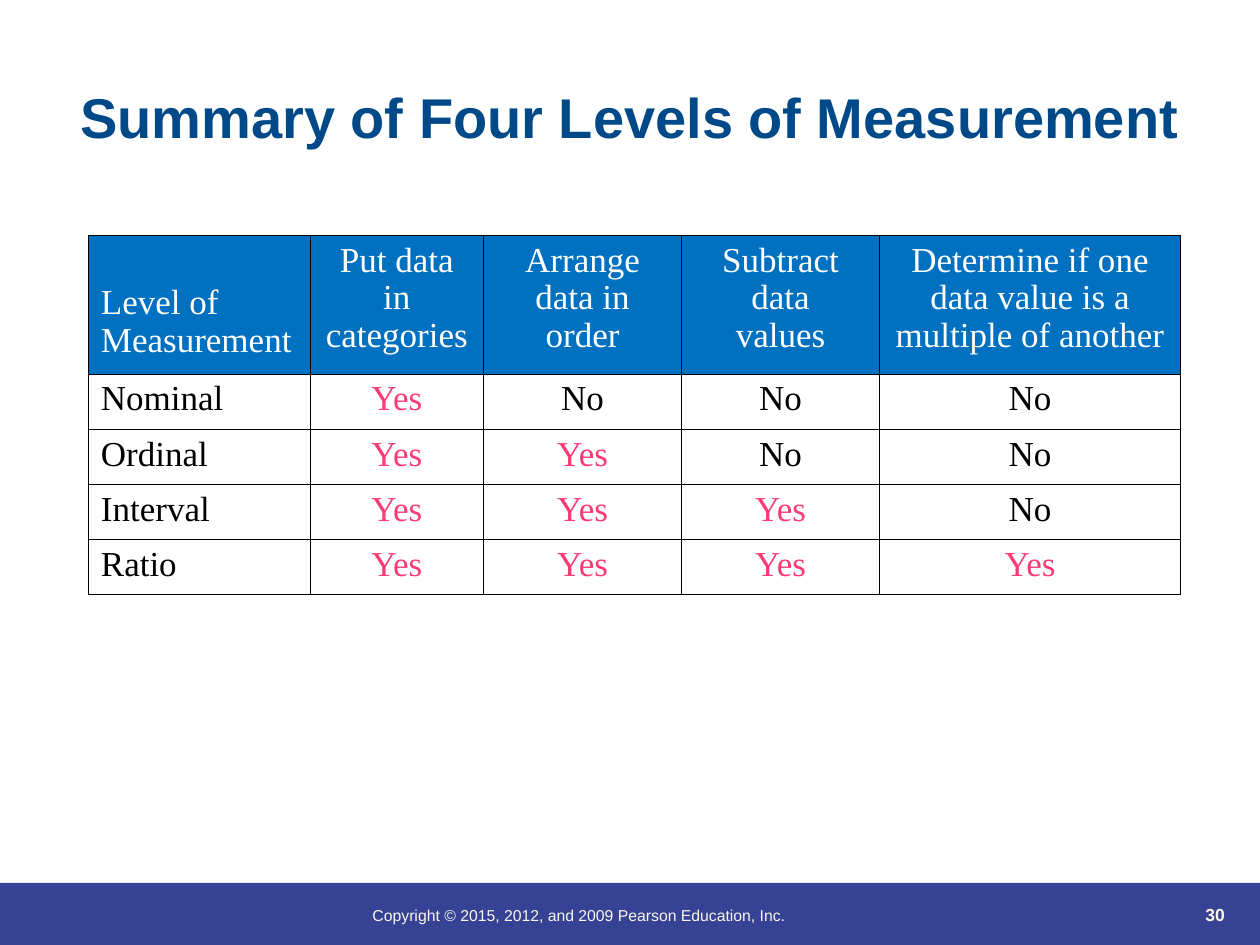
from lxml.etree import SubElement
from pptx import Presentation
from pptx.dml.color import RGBColor
from pptx.enum.shapes import MSO_SHAPE
from pptx.enum.text import MSO_ANCHOR, PP_ALIGN
from pptx.oxml.ns import qn
from pptx.util import Cm, Pt

BAND, CREAM, NAVY = "364395", "FBF5EA", "004988"
BLUE, PINK, BLACK, WHITE = "0070C0", "FC3B75", "000000", "FFFFFF"

HEADER = ["Level of\nMeasurement", "Put data in\ncategories",
          "Arrange\ndata in\norder", "Subtract\ndata\nvalues",
          "Determine if one data value is a multiple of another"]
LEVELS = ["Nominal", "Ordinal", "Interval", "Ratio"]
COL_WIDTHS = [4.47, 3.5, 3.99, 3.99, 6.07]
HEADER_HEIGHT, ROW_HEIGHT = 2.8, 1.11


def rgb(hex_color):
    return RGBColor.from_string(hex_color)


def write(tf, text, font="Arial", size=20, color=BLACK, bold=False,
          align=PP_ALIGN.LEFT, spacing=None):
    """Fill a text frame, one paragraph per line of text."""
    tf.word_wrap = True
    for i, line in enumerate(text.split("\n")):
        p = tf.paragraphs[0] if i == 0 else tf.add_paragraph()
        p.alignment = align
        p.line_spacing = spacing
        r = p.add_run()
        r.text = line
        r.font.name, r.font.size, r.font.bold = font, Pt(size), bold
        r.font.color.rgb = rgb(color)


def add_text(s, box, text, anchor=MSO_ANCHOR.TOP, **fmt):
    tf = s.shapes.add_textbox(*map(Cm, box)).text_frame
    tf.vertical_anchor = anchor
    write(tf, text, **fmt)


def add_band(s, box, color):
    sp = s.shapes.add_shape(MSO_SHAPE.RECTANGLE, *map(Cm, box))
    sp.shadow.inherit = False
    sp.fill.solid()
    sp.fill.fore_color.rgb = rgb(color)
    sp.line.fill.background()


def set_borders(cell, color, width):
    tcPr = cell._tc.get_or_add_tcPr()
    for i, side in enumerate(("lnL", "lnR", "lnT", "lnB")):
        ln = tcPr.makeelement(qn(f"a:{side}"), {"w": str(Pt(width))})
        fill = SubElement(ln, qn("a:solidFill"))
        SubElement(fill, qn("a:srgbClr"), val=color)
        tcPr.insert(i, ln)


def format_cell(cell, text, color, fill, align):
    write(cell.text_frame, text, font="Times New Roman", color=color,
          align=align, spacing=0.97)
    if fill:
        cell.fill.solid()
        cell.fill.fore_color.rgb = rgb(fill)
    else:
        cell.fill.background()
    set_borders(cell, BLACK, 0.45)


def add_levels_table(s, left, top):
    height = HEADER_HEIGHT + ROW_HEIGHT * len(LEVELS)
    table = s.shapes.add_table(
        len(LEVELS) + 1, len(HEADER), Cm(left), Cm(top),
        Cm(sum(COL_WIDTHS)), Cm(height)).table
    for column, width in zip(table.columns, COL_WIDTHS):
        column.width = Cm(width)
    for i, row in enumerate(table.rows):
        row.height = Cm(ROW_HEIGHT if i else HEADER_HEIGHT)

    # Each level allows one more operation than the level before
    answers = [[level] + ["Yes" if c <= n else "No" for c in range(1, len(HEADER))]
               for n, level in enumerate(LEVELS, 1)]
    for i, texts in enumerate([HEADER] + answers):
        for j, text in enumerate(texts):
            color = WHITE if i == 0 else PINK if text == "Yes" else BLACK
            format_cell(table.cell(i, j), text, color, None if i else BLUE,
                        PP_ALIGN.CENTER if j else PP_ALIGN.LEFT)

    # The two-line corner heading sits level with the last lines beside it
    corner = table.cell(0, 0)
    corner.vertical_anchor = MSO_ANCHOR.BOTTOM
    corner.margin_bottom = Cm(0.3)


def main():
    prs = Presentation()
    prs.slide_width, prs.slide_height = Cm(25.4), Cm(19.05)
    s = prs.slides.add_slide(prs.slide_layouts[6])

    # Footer
    add_band(s, (0, 17.8, 25.4, 1.25), BAND)
    add_text(s, (7.26, 18.14, 12.5, 0.9),
             "Copyright © 2015, 2012, and 2009 Pearson Education, Inc.",
             size=9, color=CREAM)
    add_text(s, (22.6, 17.5, 2.34, 1.27), "30", anchor=MSO_ANCHOR.BOTTOM,
             size=10, color=CREAM, bold=True, align=PP_ALIGN.RIGHT)

    # Title
    add_text(s, (1.27, 0.76, 22.86, 3.18), "Summary of Four Levels of Measurement",
             anchor=MSO_ANCHOR.MIDDLE, size=32, color=NAVY, bold=True,
             align=PP_ALIGN.CENTER)

    # Table
    add_levels_table(s, 1.78, 4.75)

    prs.save("out.pptx")


if __name__ == "__main__":
    main()
